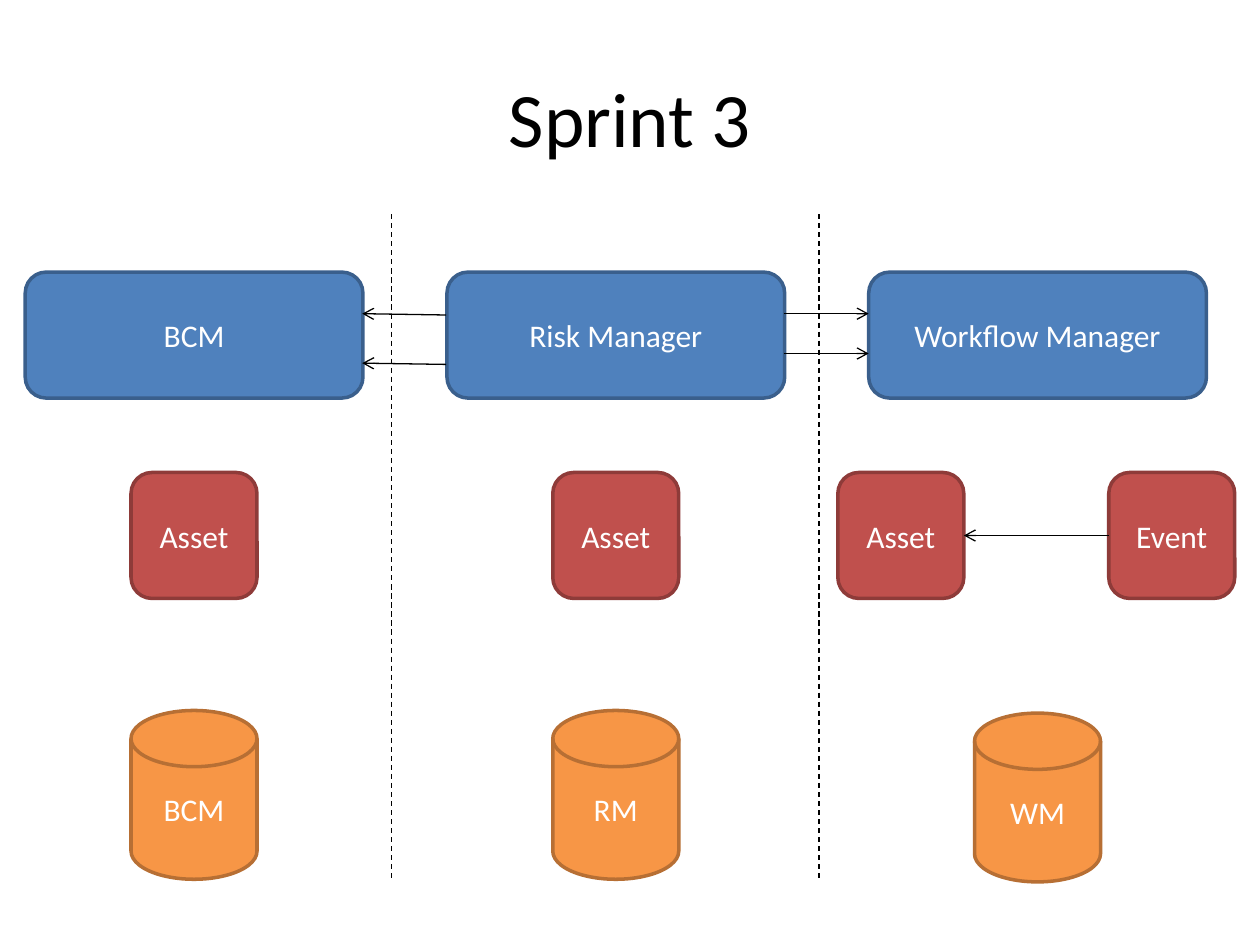
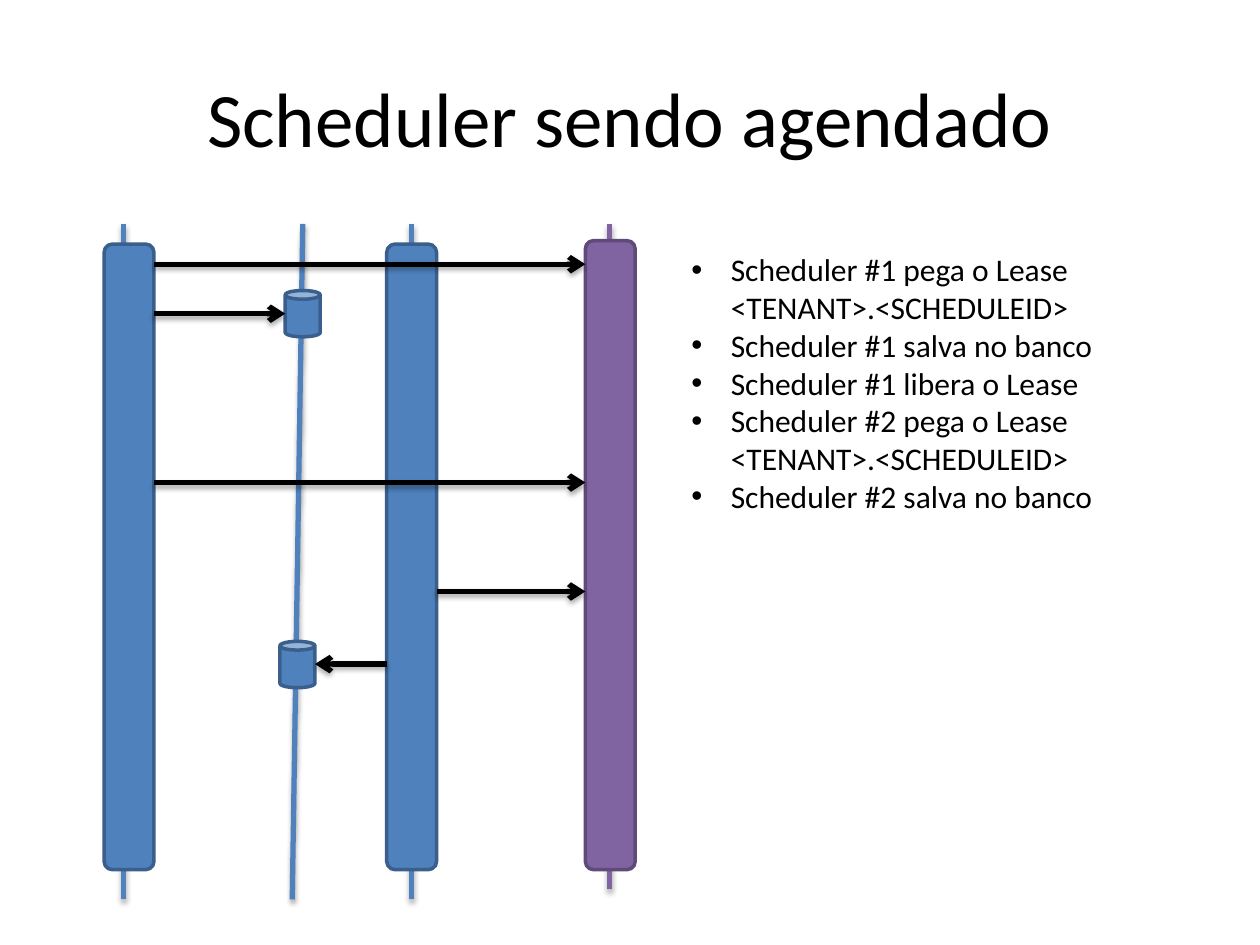
from lxml.etree import SubElement
from pptx import Presentation
from pptx.dml.color import RGBColor
from pptx.enum.dml import MSO_LINE
from pptx.enum.shapes import MSO_CONNECTOR, MSO_SHAPE
from pptx.enum.text import MSO_ANCHOR, PP_ALIGN
from pptx.oxml.ns import qn
from pptx.util import Pt

FONT = "Calibri"
BLACK, WHITE = "000000", "FFFFFF"
BLUE = ("4F81BD", "3A5F8C")
RED = ("C0504D", "8E3B39")
ORANGE = ("F79646", "B76F34")
PURPLE = ("8064A2", "5F4A78")

# Sprint slide: module, database, database top
COLUMNS = [
    ("BCM", "BCM", 406),
    ("Risk Manager", "RM", 406),
    ("Workflow Manager", "WM", 407.5),
]
FIRST, PITCH = 110.9, 241
# centre of each red box
ITEMS = [("Asset", FIRST), ("Asset", FIRST + PITCH),
         ("Asset", 514.8), ("Event", 669.6)]
BORDERS = [223.75, 468]
CALLS = [(447.8, 179.25, 496.4, 179.25), (447.8, 202, 496.4, 202),
         (255, 180, 207, 179.25), (255, 208.25, 207, 207.5)]

# Scheduler slide: x1, x2, bottom, colour
LIVES = [(70.5, 70.5, 514, BLUE), (173, 167, 514, BLUE),
         (235.25, 235.25, 514, BLUE), (348.5, 348.5, 508, PURPLE)]
# left, top, colour
BARS = [(59.5, 139.5, BLUE), (221, 139.5, BLUE), (334.5, 137.5, PURPLE)]
BAR_W, BAR_END = 28.5, 497
CANS = [(163, 166), (160, 366.5)]
CAN_W, CAN_H = 20, 26.5
LEFT, RIGHT, LAST = 88, 249.5, 334.5
STEPS = [(LEFT, LAST, 151), (LEFT, CANS[0][0], 179.25),
         (LEFT, LAST, 275.75), (RIGHT, LAST, 338),
         (221, CANS[1][0] + CAN_W, 379.5)]
NOTES = [
    "Scheduler #1 pega o Lease <TENANT>.<SCHEDULEID>",
    "Scheduler #1 salva no banco",
    "Scheduler #1 libera o Lease",
    "Scheduler #2 pega o Lease <TENANT>.<SCHEDULEID>",
    "Scheduler #2 salva no banco",
]


def rgb(code):
    return RGBColor.from_string(code)


def style(para, size, color, align=None):
    para.alignment = align
    for run in para.runs:
        run.font.name = FONT
        run.font.size = Pt(size)
        run.font.color.rgb = rgb(color)


def new_slide(deck, title):
    """Add a blank slide with the shared title."""
    slide = deck.slides.add_slide(deck.slide_layouts[6])
    box = slide.shapes.add_textbox(Pt(36), Pt(21.6), Pt(648), Pt(90))
    frame = box.text_frame
    frame.word_wrap = True
    frame.vertical_anchor = MSO_ANCHOR.MIDDLE
    frame.text = title
    style(frame.paragraphs[0], 44, BLACK, PP_ALIGN.CENTER)
    return slide


def add_box(slide, kind, x, y, w, h, tone, text=""):
    box = slide.shapes.add_shape(kind, Pt(x), Pt(y), Pt(w), Pt(h))
    box.shadow.inherit = False
    box.fill.solid()
    box.fill.fore_color.rgb = rgb(tone[0])
    box.line.color.rgb = rgb(tone[1])
    box.line.width = Pt(2)
    if text:
        frame = box.text_frame
        frame.text = text
        frame.vertical_anchor = MSO_ANCHOR.MIDDLE
        style(frame.paragraphs[0], 18, WHITE, PP_ALIGN.CENTER)
    return box


def add_line(slide, x1, y1, x2, y2, color=BLACK, width=0.75,
             arrow=False, dash=False, shade=False):
    link = slide.shapes.add_connector(
        MSO_CONNECTOR.STRAIGHT, Pt(x1), Pt(y1), Pt(x2), Pt(y2))
    link.line.color.rgb = rgb(color)
    link.line.width = Pt(width)
    if dash:
        link.line.dash_style = MSO_LINE.DASH
    props = link._element.spPr
    if arrow:
        SubElement(props.find(qn("a:ln")), qn("a:tailEnd"), type="arrow")
    effects = SubElement(props, qn("a:effectLst"))
    if shade:
        cast = SubElement(effects, qn("a:outerShdw"), blurRad=str(Pt(3.1)),
                          dist=str(Pt(1.8)), dir="5400000", rotWithShape="0")
        tint = SubElement(cast, qn("a:srgbClr"), val=BLACK)
        SubElement(tint, qn("a:alpha"), val="35000")
    return link


def add_notes(slide):
    """Add the bulleted list of steps."""
    box = slide.shapes.add_textbox(Pt(388), Pt(139.5), Pt(283.5), Pt(160))
    frame = box.text_frame
    frame.word_wrap = True
    frame.text = "\n".join(NOTES)
    for para in frame.paragraphs:
        props = para._p.get_or_add_pPr()
        props.set("marL", str(Pt(22.5)))
        props.set("indent", str(Pt(-22.5)))
        SubElement(props, qn("a:buFont"), typeface="Arial")
        SubElement(props, qn("a:buChar"), char="•")
        style(para, 18, BLACK)


def draw_sprint(deck):
    slide = new_slide(deck, "Sprint 3")
    for i, (module, store, top) in enumerate(COLUMNS):
        mid = FIRST + i * PITCH
        add_box(slide, MSO_SHAPE.ROUNDED_RECTANGLE,
                mid - 96.5, 155.5, 193, 72, BLUE, module)
        add_box(slide, MSO_SHAPE.FLOWCHART_MAGNETIC_DISK,
                mid - 36, top, 72, 96.5, ORANGE, store)
    items = [add_box(slide, MSO_SHAPE.ROUNDED_RECTANGLE,
                     mid - 36, 270, 72, 72, RED, name)
             for name, mid in ITEMS]
    for x in BORDERS:
        add_line(slide, x, 122.4, x, 502.5, dash=True)
    for call in CALLS:
        add_line(slide, *call, arrow=True)
    link = add_line(slide, 633.6, 306, 550.8, 306, arrow=True)
    link.begin_connect(items[3], 1)
    link.end_connect(items[2], 3)


def draw_scheduler(deck):
    slide = new_slide(deck, "Scheduler sendo agendado")
    for x1, x2, end, tone in LIVES:
        add_line(slide, x1, 128, x2, end, tone[0], 3, shade=True)
    for x, top, tone in BARS:
        add_box(slide, MSO_SHAPE.ROUNDED_RECTANGLE,
                x, top, BAR_W, BAR_END - top, tone)
    for x, top in CANS:
        add_box(slide, MSO_SHAPE.CAN, x, top, CAN_W, CAN_H, BLUE)
    for start, end, y in STEPS:
        add_line(slide, start, y, end, y, width=3, arrow=True, shade=True)
    add_notes(slide)


def main():
    deck = Presentation()
    deck.slide_width, deck.slide_height = Pt(720), Pt(540)
    draw_sprint(deck)
    draw_scheduler(deck)
    deck.save("out.pptx")


if __name__ == "__main__":
    main()
